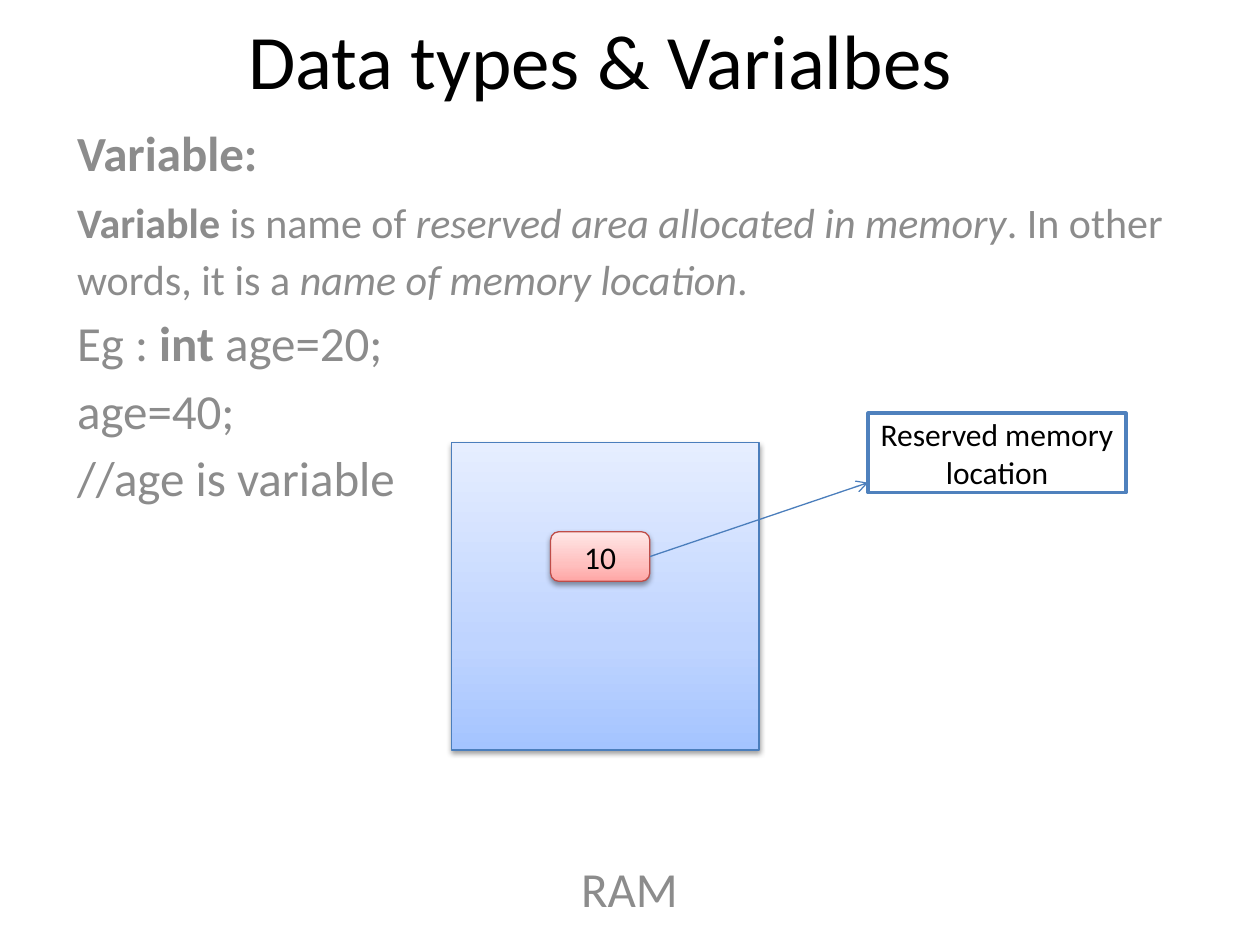
from copy import deepcopy
from lxml.etree import SubElement as Sub
from pptx import Presentation
from pptx.dml.color import RGBColor as Rgb
from pptx.enum.shapes import MSO_CONNECTOR as Link, MSO_SHAPE as Kind
from pptx.enum.text import MSO_ANCHOR as Anchor, MSO_AUTO_SIZE as Fit, PP_ALIGN as Align
from pptx.oxml.ns import qn
from pptx.util import Cm, Pt

FONT = "Calibri"
HEX = {
    "black": "000000", "white": "FFFFFF", "grey": "8C8C8C",
    "blue": "4B7EBC", "red": "BF4C48", "frame": "4F81BD",
}
BLUES = ["A4C4FF", "BFD4FF", "E6EEFF"]
REDS = ["FFA6A5", "FFC0BF", "FFE7E7"]
STOPS = [0, 0.35, 1]


def tint(name):
    return Rgb.from_string(HEX[name])


def place(shape, left, top, width, height):
    shape.left, shape.top = Cm(left), Cm(top)
    shape.width, shape.height = Cm(width), Cm(height)


def style(para, size, color, align):
    para.alignment = align
    para.font.name, para.font.size = FONT, Pt(size)
    para.font.color.rgb = tint(color)


def fade(shape, colors):
    """Fill from bottom to top with three stops."""
    fill = shape.fill
    fill.gradient()
    fill.gradient_angle = 90
    first = shape._element.spPr.find(".//" + qn("a:gs"))
    first.addnext(deepcopy(first))
    for stop, color, spot in zip(fill.gradient_stops, colors, STOPS):
        stop.color.rgb = Rgb.from_string(color)
        stop.position = spot


def shade(shape):
    """Cast a soft shadow straight down."""
    effects = shape._element.spPr.find(qn("a:effectLst"))
    cast = Sub(effects, qn("a:outerShdw"), blurRad="40000", dist="20000",
               dir="5400000", rotWithShape="0")
    color = Sub(cast, qn("a:srgbClr"), val=HEX["black"])
    Sub(color, qn("a:alpha"), val="38000")


def add_box(slide, kind, area, edge, weight, text="", colors=None):
    box = slide.shapes.add_shape(kind, *map(Cm, area))
    box.shadow.inherit = False
    box.line.color.rgb, box.line.width = tint(edge), Pt(weight)
    if colors:
        fade(box, colors)
        shade(box)
    else:
        box.fill.solid()
        box.fill.fore_color.rgb = tint("white")
    if text:
        box.text_frame.text = text
        style(box.text_frame.paragraphs[0], 18, "black", Align.CENTER)
    return box


def add_arrow(slide, start, end):
    arrow = slide.shapes.add_connector(Link.STRAIGHT, *map(Cm, start + end))
    arrow.line.color.rgb, arrow.line.width = tint("blue"), Pt(0.75)
    Sub(arrow.line._get_or_add_ln(), qn("a:tailEnd"), type="arrow")
    Sub(arrow._element.spPr, qn("a:effectLst"))


def set_title(title, text):
    place(title, 1.3, -0.86, 21.6, 4.09)
    frame = title.text_frame
    frame.text = text
    frame.auto_size, frame.vertical_anchor = Fit.NONE, Anchor.MIDDLE
    style(frame.paragraphs[0], 44, "black", Align.CENTER)


def set_body(body, rows):
    """Each row is a size and its runs; a run is a text and its marks."""
    place(body, 1.3, 2.34, 23.4, 16)
    frame = body.text_frame
    frame.auto_size, frame.vertical_anchor = Fit.NONE, Anchor.TOP
    for num, (size, runs) in enumerate(rows):
        para = frame.add_paragraph() if num else frame.paragraphs[0]
        style(para, size, "grey", Align.LEFT)
        para.space_before = Pt(5)
        for text, marks in runs:
            run = para.add_run()
            run.text = text
            if marks:
                run.font.bold, run.font.italic = "b" in marks, "i" in marks
    return frame.paragraphs


def main():
    deck = Presentation()
    deck.slide_width, deck.slide_height = Cm(25.4), Cm(19.05)
    slide = deck.slides.add_slide(deck.slide_layouts[0])
    title, body = slide.placeholders

    # Title and notes on variables
    set_title(title, "Data types & Varialbes")
    paras = set_body(body, [
        (28, [("Variable:", "b")]),
        (24, [("Variable", "b"), (" is name of ", ""),
              ("reserved area allocated in memory", "i"),
              (". In other words, it is a ", ""),
              ("name of memory location", "i"), (".", "")]),
        (28, [("Eg : ", ""), ("int", "b"), (" age=20;", "")]),
        (28, [("age=40;", "")]),
        (28, [("//age is variable", "")]),
        (28, [("RAM", "")]),
    ])
    paras[1].line_spacing = Pt(32.5)

    # Caption under the memory block
    ram = paras[-1]
    ram.space_before = Pt(201)
    ram._p.get_or_add_pPr().set("marL", str(Cm(10.16)))

    # Memory block, its cell and the label
    add_box(slide, Kind.RECTANGLE, (9.1, 8.92, 6.2, 6.2), "blue", 0.75, colors=BLUES)
    add_box(slide, Kind.ROUNDED_RECTANGLE, (11.1, 10.72, 2, 1), "red", 0.75, "10", REDS)
    add_arrow(slide, (13.1, 11.22), (17.5, 9.73))
    add_box(slide, Kind.RECTANGLE, (17.5, 8.33, 5.2, 1.6), "frame", 2,
            "Reserved memory location")

    deck.save("out.pptx")


if __name__ == "__main__":
    main()
